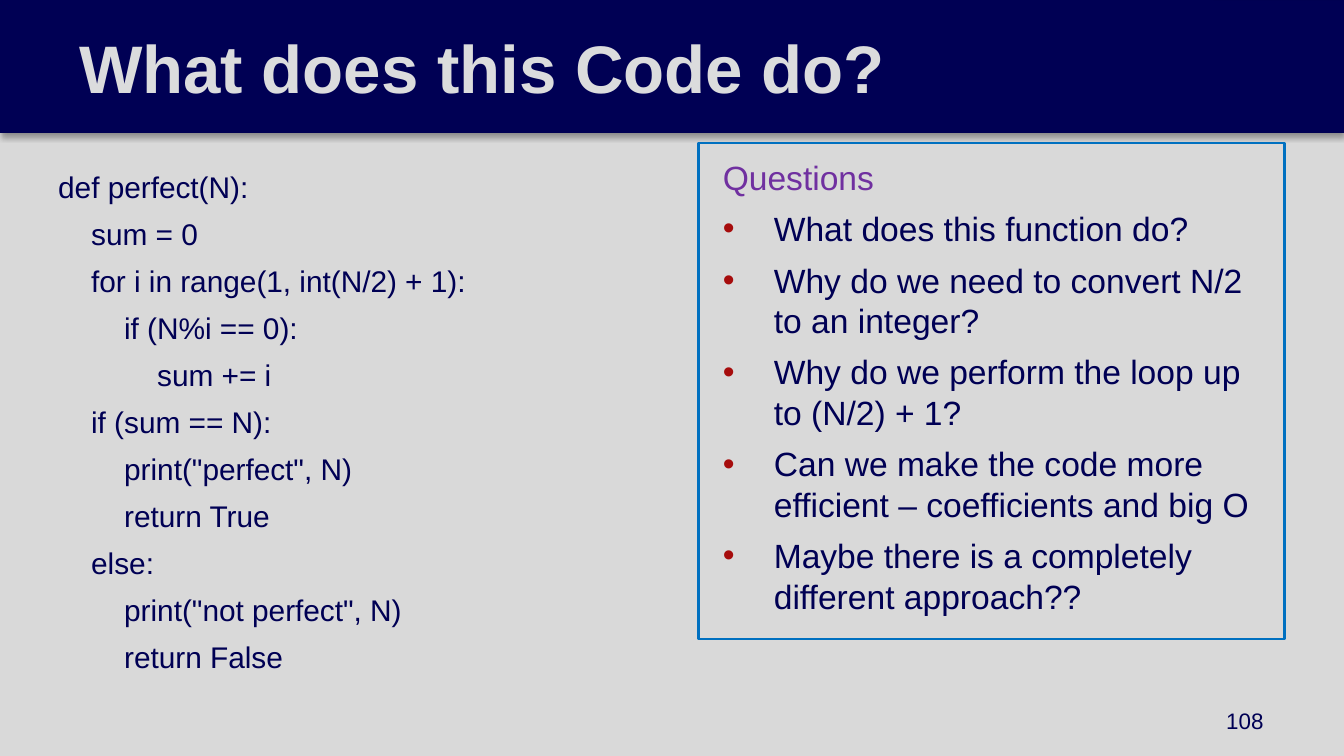
"""Builds a slide that asks questions about a short Python function."""
from dataclasses import dataclass
from typing import Optional

import lxml.etree
import pptx
import pptx.dml.color
import pptx.enum.shapes
import pptx.enum.text
import pptx.oxml
import pptx.oxml.ns
import pptx.util

COLUMNS, ROWS = 100, 56.25
CELL = pptx.util.Inches(0.1)
NAVY, GRAY, BLUE, PURPLE, RED = "000054", "D9D9D9", "0070C0", "7030A0", "A60C0C"
HEADER_ROWS, BODY_TOP = 9.88, 10.64

CODE = '''def perfect(N):
    sum = 0
    for i in range(1, int(N/2) + 1):
        if (N%i == 0):
            sum += i
    if (sum == N):
        print("perfect", N)
        return True
    else:
        print("not perfect", N)
        return False'''

QUESTIONS = (
    "What does this function do?",
    "Why do we need to convert N/2 to an integer?",
    "Why do we perform the loop up to (N/2) + 1?",
    "Can we make the code more efficient – coefficients and big O",
    "Maybe there is a completely different approach??",
)


@dataclass(frozen=True)
class Panel:
    """A rectangle in grid cells, with insets in inches."""
    left: float
    top: float
    width: float
    height: float
    fill: Optional[str] = None
    line: Optional[str] = None
    line_width: float = 1.5
    side_inset: float = 0.1
    top_inset: float = 0.1
    bottom_inset: float = 0.1
    middle: bool = False


def color(value: str) -> pptx.dml.color.RGBColor:
    """Turn a hex string into a colour."""
    return pptx.dml.color.RGBColor.from_string(value)


def add_panel(slide, panel: Panel):
    """Draw a rectangle that is ready to hold text."""
    shape = slide.shapes.add_shape(
        pptx.enum.shapes.MSO_SHAPE.RECTANGLE,
        *(round(cells * CELL) for cells in (panel.left, panel.top, panel.width, panel.height)))
    shape.shadow.inherit = False
    if panel.fill:
        shape.fill.solid()
        shape.fill.fore_color.rgb = color(panel.fill)
    else:
        shape.fill.background()
    if panel.line:
        shape.line.color.rgb = color(panel.line)
        shape.line.width = pptx.util.Pt(panel.line_width)
    else:
        shape.line.fill.background()
    frame = shape.text_frame
    frame.word_wrap = True
    frame.margin_left = frame.margin_right = pptx.util.Inches(panel.side_inset)
    frame.margin_top = pptx.util.Inches(panel.top_inset)
    frame.margin_bottom = pptx.util.Inches(panel.bottom_inset)
    anchors = pptx.enum.text.MSO_ANCHOR
    frame.vertical_anchor = anchors.MIDDLE if panel.middle else anchors.TOP
    return shape


def add_shadow(shape) -> None:
    """Put a soft shadow below a shape."""
    effects = shape._element.spPr.find(pptx.oxml.ns.qn("a:effectLst"))
    effects.append(pptx.oxml.parse_xml(
        f'<a:outerShdw {pptx.oxml.ns.nsdecls("a")} blurRad="{pptx.util.Pt(3.1)}" '
        f'dist="{pptx.util.Pt(1.8)}" dir="5400000" rotWithShape="0">'
        '<a:srgbClr val="000000"><a:alpha val="35000"/></a:srgbClr></a:outerShdw>'))


def write(shape, text: str, *, size: float, ink: str = NAVY, bold: bool = False,
          align: str = "LEFT", margin: float = 0, indent: float = 0, before: float = 0,
          after: float = 0, bullet: Optional[str] = None) -> None:
    """Write one paragraph below the text a shape already holds."""
    frame = shape.text_frame
    first = not frame.text
    paragraph = frame.paragraphs[0] if first else frame.add_paragraph()
    paragraph.alignment = pptx.enum.text.PP_ALIGN[align]
    paragraph.space_before = pptx.util.Pt(0 if first else before)
    paragraph.space_after = pptx.util.Pt(after)
    properties = paragraph._p.get_or_add_pPr()
    properties.set("marL", str(pptx.util.Inches(margin)))
    properties.set("indent", str(pptx.util.Inches(indent)))
    if bullet:
        qualified = pptx.oxml.ns.qn
        bullet_color = lxml.etree.SubElement(properties, qualified("a:buClr"))
        lxml.etree.SubElement(bullet_color, qualified("a:srgbClr"), val=bullet)
        lxml.etree.SubElement(properties, qualified("a:buFont"), typeface="Arial")
        lxml.etree.SubElement(properties, qualified("a:buChar"), char="•")
    run = paragraph.add_run()
    run.text = text
    run.font.name = "Arial"
    run.font.size = pptx.util.Pt(size)
    run.font.bold = bold
    run.font.color.rgb = color(ink)


def main() -> None:
    """Build and save the slide."""
    presentation = pptx.Presentation()
    presentation.slide_width = round(COLUMNS * CELL)
    presentation.slide_height = round(ROWS * CELL)
    slide = presentation.slides.add_slide(presentation.slide_layouts[6])
    slide.background.fill.solid()
    slide.background.fill.fore_color.rgb = color(GRAY)

    band = add_panel(slide, Panel(0, 0, COLUMNS, HEADER_ROWS, NAVY, "000052", 0.75))
    add_shadow(band)

    code = add_panel(slide, Panel(1.53, BODY_TOP, 50.4, 42.8, GRAY,
                                  side_inset=0.2, top_inset=0.19))
    for line in CODE.splitlines():
        write(code, line, size=16, margin=0.08, before=6)

    title = add_panel(slide, Panel(0, 0, 90.3, HEADER_ROWS, NAVY, side_inset=0.4, middle=True))
    write(title, "What does this Code do?", size=36, ink="DBDCDD", bold=True, margin=0.19)

    questions = add_panel(slide, Panel(52, BODY_TOP, 43.6, 36.9, GRAY, BLUE))
    write(questions, "Questions", size=18, ink=PURPLE, margin=0.08, after=6)
    for question in QUESTIONS:
        write(questions, question, size=18, margin=0.46, indent=-0.38, after=6, bullet=RED)

    number = add_panel(slide, Panel(71.7, 52.13, 23.3, 3, top_inset=0.05, bottom_inset=0.05,
                                    middle=True))
    write(number, "108", size=12, align="RIGHT")

    presentation.save("out.pptx")


if __name__ == "__main__":
    main()
